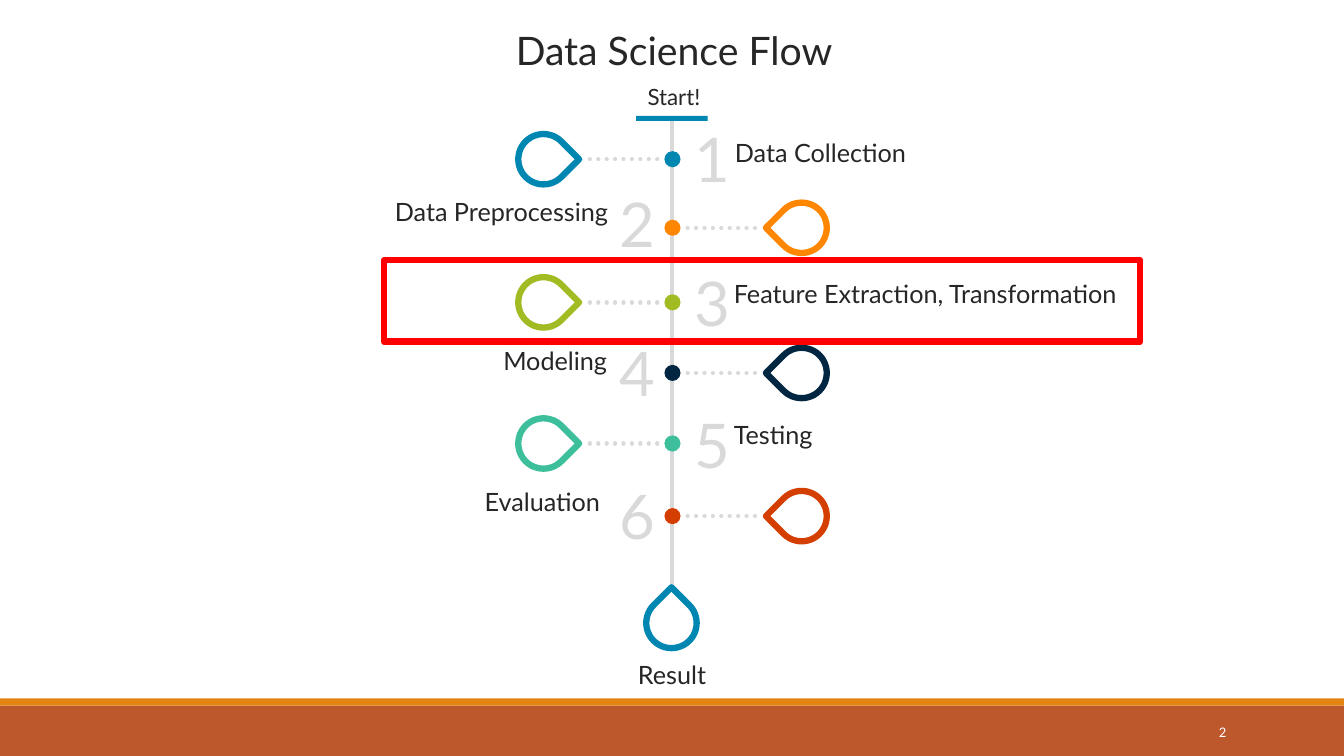
from lxml.etree import SubElement
from pptx import Presentation
from pptx.dml.color import RGBColor
from pptx.enum.dml import MSO_LINE
from pptx.enum.shapes import MSO_CONNECTOR, MSO_SHAPE
from pptx.enum.text import MSO_ANCHOR, PP_ALIGN
from pptx.oxml.ns import qn
from pptx.util import Inches, Pt

COLORS = {k: RGBColor.from_string(v) for k, v in {
    "white": "FFFFFF", "text": "262626", "grey": "D9D9D9",
    "footer": "BD582C", "stripe": "E48312", "bar": "0087B2",
    "blue": "0087B1", "orange": "FF8601", "green": "A1BB22",
    "navy": "012641", "teal": "3DBF9C", "red": "D43E01",
    "highlight": "FF0000",
}.items()}

prs = Presentation()
prs.slide_width, prs.slide_height = Inches(13.33), Inches(7.5)
s = prs.slides.add_slide(prs.slide_layouts[5])


def add_figure(kind, x, y, w, h, fill=None, line=None, rotation=0):
    sp = s.shapes.add_shape(kind, Inches(x), Inches(y), Inches(w), Inches(h))
    sp.shadow.inherit = False
    sp.rotation = rotation
    if fill:
        sp.fill.solid()
        sp.fill.fore_color.rgb = COLORS[fill]
    else:
        sp.fill.background()
    if line:
        sp.line.color.rgb = COLORS[line]
        sp.line.width = Pt(4.5)
    else:
        sp.line.fill.background()
    return sp


def add_label(text, x, y, w, h, size, align=PP_ALIGN.LEFT, color="text",
              font="Lato", anchor=MSO_ANCHOR.TOP, box=None):
    sp = box or s.shapes.add_textbox(0, 0, 0, 0)
    sp.left, sp.top, sp.width, sp.height = map(Inches, (x, y, w, h))
    tf = sp.text_frame
    tf.word_wrap = True
    tf.vertical_anchor = anchor
    tf.text = text
    p = tf.paragraphs[0]
    p.alignment = align
    p.font.size = Pt(size)
    p.font.name = font
    p.font.color.rgb = COLORS[color]


# Footer bands and white panel
add_figure(MSO_SHAPE.RECTANGLE, 0, 7, 13.33, 0.5, "footer")
add_figure(MSO_SHAPE.RECTANGLE, 0, 6.93, 13.33, 0.07, "stripe")
panel = add_figure(MSO_SHAPE.RECTANGLE, 0, 0, 13.33, 6.89, "white")

# Title, lifted above the panel
title = s.shapes.title
panel._element.addnext(title._element)
add_label("Data Science Flow", 4.58, 0.21, 4.21, 0.57, 28, PP_ALIGN.CENTER, box=title)

# Start bar and spine
add_label("Start!", 4.58, 0.78, 4.21, 0.37, 16, PP_ALIGN.CENTER)
bar = add_figure(MSO_SHAPE.RECTANGLE, 6.31, 1.15, 0.71, 0.05, "bar")
spine = s.shapes.add_connector(
    MSO_CONNECTOR.STRAIGHT, Inches(6.66), Inches(1.2), Inches(6.66), Inches(5.8))
spine.begin_connect(bar, 2)
spine.end_x = spine.begin_x
spine.line.width = Pt(2.25)
connectors = [spine]

# Steps: name, colour, centre y, number top, label left, label top
steps = [
    ("Data Collection", "blue", 1.58, 1.15, 7.19, 1.31),
    ("Data Preprocessing", "orange", 2.26, 1.8, 1.92, 1.9),
    ("Feature Extraction, Transformation", "green", 3, 2.58, 7.18, 2.71),
    ("Modeling", "navy", 3.7, 3.27, 1.91, 3.38),
    ("Testing", "teal", 4.4, 3.99, 7.18, 4.11),
    ("Evaluation", "red", 5.12, 4.69, 1.84, 4.78),
]
for number, (name, color, y, number_y, label_x, label_y) in enumerate(steps, 1):
    # Odd steps have the drop on the left and the label on the right
    if number % 2:
        dots_x, drop_x, rotation, number_x, align = 5.85, 5.14, 45, 6.79, PP_ALIGN.LEFT
    else:
        dots_x, drop_x, rotation, number_x, align = 6.82, 7.7, 225, 6.05, PP_ALIGN.RIGHT
    dots = s.shapes.add_connector(
        MSO_CONNECTOR.STRAIGHT, Inches(dots_x), Inches(y), Inches(dots_x + 0.72), Inches(y))
    dots.line.width = Pt(3)
    dots.line.dash_style = MSO_LINE.ROUND_DOT
    dots.line._get_or_add_ln().set("cap", "rnd")
    connectors.append(dots)
    add_figure(MSO_SHAPE.TEAR, drop_x, y - 0.25, 0.5, 0.5, line=color, rotation=rotation)
    add_figure(MSO_SHAPE.OVAL, 6.59, y - 0.08, 0.16, 0.16, color)
    add_label(str(number), number_x, number_y, 0.54, 0.84, 44, color="grey")
    add_label(name, label_x, label_y, 4.21, 0.4, 18, align)

# Grey, shadowless lines
for connector in connectors:
    connector.line.color.rgb = COLORS["grey"]
    SubElement(connector._element.spPr, qn("a:effectLst"))

# Result
add_figure(MSO_SHAPE.TEAR, 6.41, 5.93, 0.5, 0.5, line="blue", rotation=315)
add_label("Result", 4.56, 6.49, 4.21, 0.4, 18, PP_ALIGN.CENTER)

# Highlight around step 3
add_figure(MSO_SHAPE.RECTANGLE, 3.81, 2.58, 7.5, 0.81, line="highlight")

# Slide number
add_label("2", 10.83, 7.06, 1.43, 0.4, 10.5, PP_ALIGN.RIGHT, "white", "Calibri",
          MSO_ANCHOR.MIDDLE)

prs.save("out.pptx")
